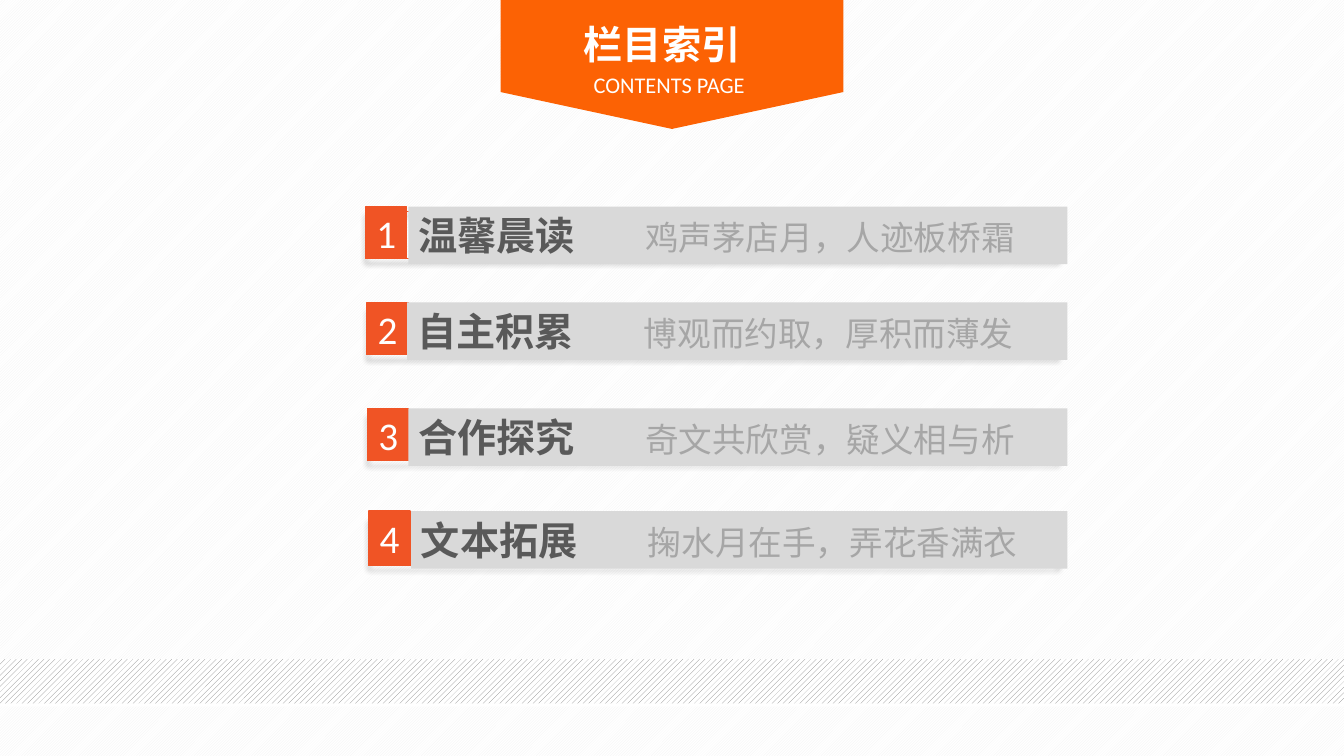
import pptx
import pptx.util
import pptx.dml.color
import pptx.enum.dml
import pptx.enum.shapes
import pptx.enum.text
import pptx.oxml
import pptx.oxml.ns
from lxml import etree

Cm = pptx.util.Cm
Pt = pptx.util.Pt
PATTERN = pptx.enum.dml.MSO_PATTERN
ALIGN = pptx.enum.text.PP_ALIGN

# Content: title, verse, then badge left, row top, badge height, bar left (cm)
SECTIONS = [
    ("温馨晨读", "鸡声茅店月，人迹板桥霜", 9.22, 5.21, 1.3, 10.29),
    ("自主积累", "博观而约取，厚积而薄发", 9.25, 7.62, 1.32, 10.26),
    ("合作探究", "奇文共欣赏，疑义相与析", 9.27, 10.29, 1.32, 10.29),
    ("文本拓展", "掬水月在手，弄花香满衣", 9.3, 12.88, 1.37, 10.36),
]
HEADING = [("栏目索引", 28, "Noto Sans CJK SC", True),
           ("CONTENTS PAGE", 16, "Calibri", False)]

# Sizes (cm) and colours
SLIDE_W, SLIDE_H = 33.87, 19.05
BANNER_W, BANNER_SIDE, BANNER_TIP = 8.64, 2.32, 3.25
BANNER_LEFT = (SLIDE_W - BANNER_W) / 2
BADGE_W, BAR_H, BAR_RIGHT = 1.03, 1.45, 26.9
FRAME_H, FRAME_RIGHT = 1.18, 26.65
VERSE_TAB = 5.72
CJK = "Noto Sans CJK SC"
BANNER, ACCENT, WHITE = "FC6204", "F05425", "FFFFFF"


def color(hex_code):
    return pptx.dml.color.RGBColor.from_string(hex_code)


def set_pattern(fill, pattern, front):
    fill.patterned()
    fill.pattern = pattern
    fill.fore_color.rgb = color(front)
    fill.back_color.rgb = color(WHITE)


def add_rect(page, left, top, width, height, fill=None, line=None):
    shape = page.shapes.add_shape(pptx.enum.shapes.MSO_SHAPE.RECTANGLE,
                                  Cm(left), Cm(top), Cm(width), Cm(height))
    shape.shadow.inherit = False
    if fill:
        shape.fill.solid()
        shape.fill.fore_color.rgb = color(fill)
    else:
        shape.fill.background()
    if line:
        shape.line.color.rgb = color(line)
        shape.line.width = Pt(1)
    else:
        shape.line.fill.background()
    return shape


def style(span, size, font, hex_code, bold=False):
    span.font.size = Pt(size)
    span.font.name = font
    span.font.bold = bold
    span.font.color.rgb = color(hex_code)
    if font == CJK:
        east = etree.SubElement(span.font._element, pptx.oxml.ns.qn("a:ea"))
        east.set("typeface", font)


def add_shadow(shape):
    effects = shape._element.spPr.find(pptx.oxml.ns.qn("a:effectLst"))
    effects.append(pptx.oxml.parse_xml(
        f'<a:outerShdw {pptx.oxml.ns.nsdecls("a")} blurRad="{Pt(4)}" '
        f'dist="{Pt(3)}" dir="5400000" algn="t" rotWithShape="0">'
        '<a:srgbClr val="000000"><a:alpha val="40000"/></a:srgbClr></a:outerShdw>'))


def add_banner(page):
    right = BANNER_LEFT + BANNER_W
    builder = page.shapes.build_freeform(Cm(BANNER_LEFT), Cm(0))
    builder.add_line_segments([
        (Cm(right), Cm(0)), (Cm(right), Cm(BANNER_SIDE)),
        (Cm(SLIDE_W / 2), Cm(BANNER_TIP)), (Cm(BANNER_LEFT), Cm(BANNER_SIDE))])
    banner = builder.convert_to_shape()
    banner.shadow.inherit = False
    banner.fill.solid()
    banner.fill.fore_color.rgb = color(BANNER)
    banner.line.fill.background()


def add_heading(page):
    # The heading sits slightly left of centre; the second line less so
    box = page.shapes.add_textbox(Cm(BANNER_LEFT - 0.25), Cm(0.25),
                                  Cm(BANNER_W), Cm(2.36))
    frame = box.text_frame
    frame.word_wrap = True
    frame.text = "\n".join(line[0] for line in HEADING)
    for para, (_, size, font, bold) in zip(frame.paragraphs, HEADING):
        para.alignment = ALIGN.CENTER
        para.line_spacing = 1.12
        style(para.runs[0], size, font, WHITE, bold)
    frame.paragraphs[1]._p.get_or_add_pPr().set("marL", str(Cm(0.36)))


def add_section(page, number, title, verse, left, top, badge_h, bar_left):
    frame = add_rect(page, left, top + badge_h - FRAME_H,
                     FRAME_RIGHT - left, FRAME_H, line=ACCENT)
    add_shadow(frame)

    badge = add_rect(page, left, top, BADGE_W, badge_h, ACCENT, ACCENT)
    badge.text_frame.text = str(number)
    badge.text_frame.vertical_anchor = pptx.enum.text.MSO_ANCHOR.MIDDLE
    para = badge.text_frame.paragraphs[0]
    para.alignment = ALIGN.CENTER
    style(para.runs[0], 28, "Calibri", WHITE)

    bar = add_rect(page, bar_left, top, BAR_RIGHT - bar_left, BAR_H, "D9D9D9")
    bar.text_frame.word_wrap = True
    bar.text_frame.vertical_anchor = pptx.enum.text.MSO_ANCHOR.TOP
    para = bar.text_frame.paragraphs[0]
    para.alignment = ALIGN.LEFT
    tabs = etree.SubElement(para._p.get_or_add_pPr(), pptx.oxml.ns.qn("a:tabLst"))
    tab = etree.SubElement(tabs, pptx.oxml.ns.qn("a:tab"))
    tab.set("pos", str(Cm(VERSE_TAB)))
    tab.set("algn", "l")
    for text, size, shade, bold in ((title + "\t", 28, "595959", True),
                                    (verse, 24, "A6A6A6", False)):
        span = para.add_run()
        span.text = text
        style(span, size, CJK, shade, bold)


def main():
    deck = pptx.Presentation()
    deck.slide_width, deck.slide_height = Cm(SLIDE_W), Cm(SLIDE_H)
    page = deck.slides.add_slide(deck.slide_layouts[6])

    # Backdrop
    set_pattern(page.background.fill, PATTERN.LIGHT_UPWARD_DIAGONAL, "F2F2F2")
    add_banner(page)
    stripe = add_rect(page, 0, 16.61, SLIDE_W, 1.12)
    set_pattern(stripe.fill, PATTERN.WIDE_UPWARD_DIAGONAL, "808080")
    add_heading(page)
    add_rect(page, 0, 17.73, SLIDE_W, 0.08, WHITE)

    # Contents
    for number, section in enumerate(SECTIONS, 1):
        add_section(page, number, *section)
    deck.save("out.pptx")


if __name__ == "__main__":
    main()
